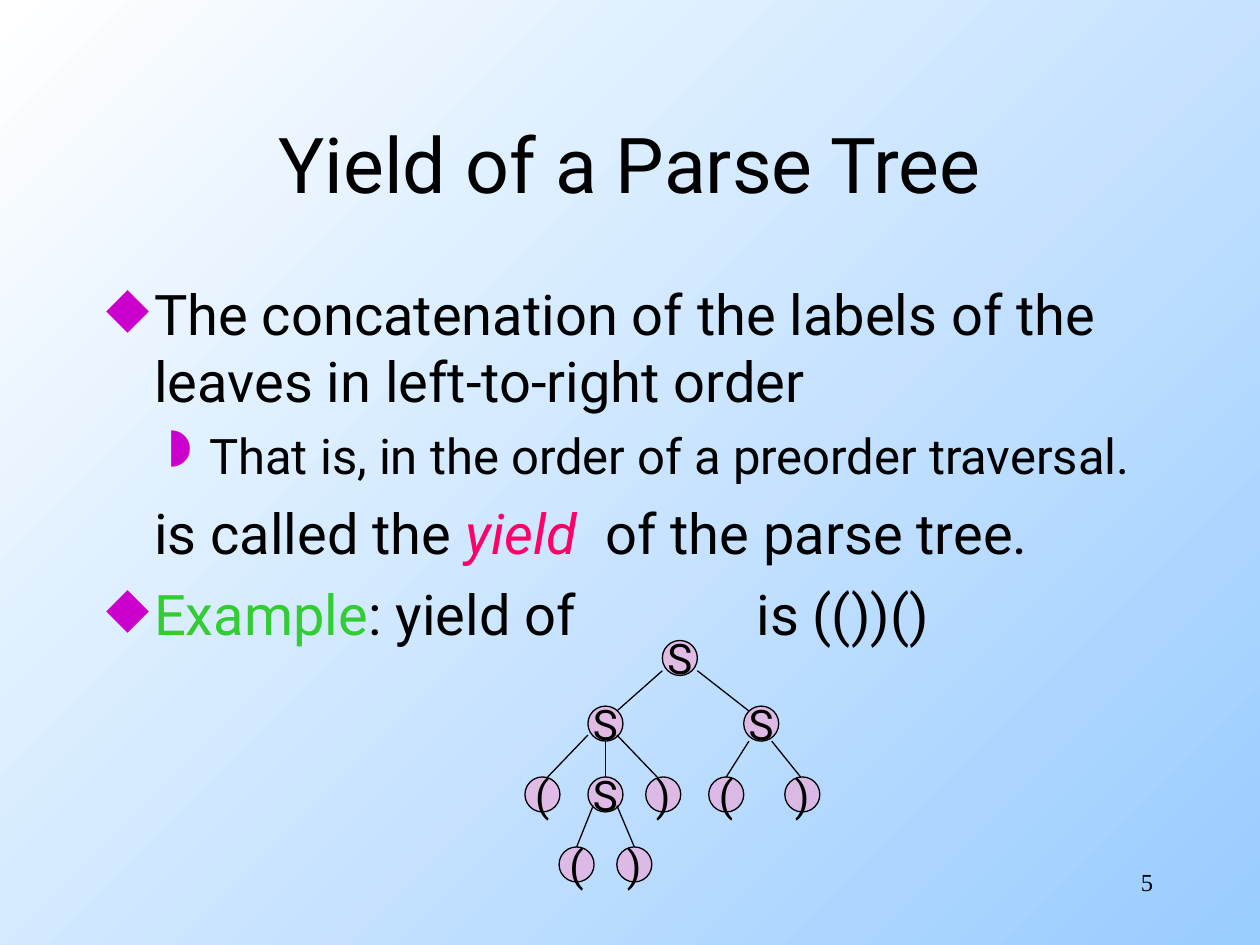
from lxml import etree
from pptx import Presentation
from pptx.dml.color import RGBColor
from pptx.enum.shapes import MSO_CONNECTOR, MSO_SHAPE
from pptx.enum.text import MSO_ANCHOR, PP_ALIGN
from pptx.oxml.ns import qn
from pptx.util import Pt

LEFT, CENTER, RIGHT = PP_ALIGN.LEFT, PP_ALIGN.CENTER, PP_ALIGN.RIGHT
TOP, MIDDLE = MSO_ANCHOR.TOP, MSO_ANCHOR.MIDDLE
ELLIPSE, STRAIGHT = MSO_SHAPE.OVAL, MSO_CONNECTOR.STRAIGHT

COLORS = {
    "text": "000000", "bullet": "CC00CC", "term": "FF0066",
    "example": "33CC33", "node": "FF99CC", "line": "000000",
    "sky_start": "FFFFFF", "sky_end": "99CCFF",
}
BODY_FONT, NUMBER_FONT = "Roboto", "Times New Roman"
NODE_SIZE = 20
LEVELS = (0, 37.5, 78, 118)

# label, left, level
NODES = [
    ("S", 78.5, 0),
    ("S", 36, 1), ("S", 125, 1),
    ("(", 0, 2), ("S", 36, 2), (")", 69, 2), ("(", 105, 2), (")", 148.5, 2),
    ("(", 19.5, 3), (")", 52.5, 3),
]
# from x, from y, to x, to y
EDGES = [
    (78.5, 17.3, 52.5, 40.3), (98.5, 17.3, 128, 40.3),
    (36, 54, 13, 78), (46, 57.5, 46, 78), (52.5, 54, 75.5, 78),
    (128, 57.5, 115, 78), (141, 57.5, 157.5, 78),
    (39, 94.3, 29.5, 118), (52.5, 94.3, 62.5, 118),
]


def rgb(name):
    return RGBColor.from_string(COLORS[name])


def add_text(paragraph, text, size=32, color="text", font=BODY_FONT,
             italic=False, tracking=0):
    run = paragraph.add_run()
    run.text = text
    run.font.size = Pt(size)
    run.font.name = font
    run.font.italic = italic
    run.font.color.rgb = rgb(color)
    if tracking:
        run.font._element.set("spc", str(round(tracking * 100)))


def add_frame(slide, box, anchor=TOP):
    frame = slide.shapes.add_textbox(*map(Pt, box)).text_frame
    frame.word_wrap = True
    frame.vertical_anchor = anchor
    return frame


def set_indent(paragraph, margin, hanging=0, bullet=None):
    props = paragraph._p.get_or_add_pPr()
    props.set("marL", str(Pt(margin)))
    props.set("indent", str(Pt(-hanging)))
    if bullet:
        color = etree.SubElement(props, qn("a:buClr"))
        etree.SubElement(color, qn("a:srgbClr"), val=COLORS["bullet"])
        etree.SubElement(props, qn("a:buChar"), char=bullet)
    else:
        etree.SubElement(props, qn("a:buNone"))


def paint_background(slide):
    fill = slide.background.fill
    fill.gradient()
    fill.gradient_angle = 315
    for stop, name in zip(fill.gradient_stops, ("sky_start", "sky_end")):
        stop.color.rgb = rgb(name)


def draw_line_of_text(slide, box, text, align, anchor=TOP, **style):
    paragraph = add_frame(slide, box, anchor).paragraphs[0]
    paragraph.alignment = align
    add_text(paragraph, text, **style)


def draw_body(slide, box):
    frame = add_frame(slide, box)
    definition = frame.paragraphs[0]
    order, conclusion, example = (frame.add_paragraph() for _ in range(3))

    set_indent(definition, 27, 27, "◆")
    add_text(definition, "The concatenation of the labels of the leaves "
                         "in left-to-right order")

    order.level = 1
    set_indent(order, 58.5, 22.5, "◗")
    order.space_before = Pt(7)
    add_text(order, "That is, in the order of a preorder traversal.", size=28)

    set_indent(conclusion, 27)
    conclusion.space_before = Pt(8)
    add_text(conclusion, "is called the ")
    add_text(conclusion, "yield", color="term", italic=True)
    add_text(conclusion, " ", tracking=8)
    add_text(conclusion, "of the parse tree.")

    set_indent(example, 27, 27, "◆")
    example.space_before = Pt(8)
    add_text(example, "Example", color="example")
    add_text(example, ": yield of")
    add_text(example, " ", tracking=95)
    add_text(example, "is (())()")


def draw_node(tree, label, left, top):
    node = tree.shapes.add_shape(ELLIPSE, Pt(left), Pt(top),
                                 Pt(NODE_SIZE), Pt(NODE_SIZE))
    node.shadow.inherit = False
    node.fill.solid()
    node.fill.fore_color.rgb = rgb("node")
    fill_color = node._element.spPr.find(".//" + qn("a:srgbClr"))
    etree.SubElement(fill_color, qn("a:alpha"), val="50000")
    node.line.color.rgb = rgb("line")
    node.line.width = Pt(0.75)
    frame = node.text_frame
    frame.word_wrap = False
    frame.vertical_anchor = MIDDLE
    frame.paragraphs[0].alignment = CENTER
    add_text(frame.paragraphs[0], label, size=24)


def draw_edge(tree, start_x, start_y, end_x, end_y):
    edge = tree.shapes.add_connector(STRAIGHT, Pt(start_x), Pt(start_y),
                                     Pt(end_x), Pt(end_y))
    edge.line.color.rgb = rgb("line")
    edge.line.width = Pt(0.75)
    etree.SubElement(edge._element.spPr, qn("a:effectLst"))


def draw_parse_tree(slide, left, top):
    tree = slide.shapes.add_group_shape()
    for label, x, level in NODES:
        draw_node(tree, label, left + x, top + LEVELS[level])
    for x1, y1, x2, y2 in EDGES:
        draw_edge(tree, left + x1, top + y1, left + x2, top + y2)


def main():
    deck = Presentation()
    deck.slide_width, deck.slide_height = Pt(720), Pt(540)
    slide = deck.slides.add_slide(deck.slide_layouts[6])
    paint_background(slide)
    draw_line_of_text(slide, (516, 492, 150, 36), "5", RIGHT,
                      size=14, font=NUMBER_FONT)
    draw_line_of_text(slide, (54, 48, 612, 90), "Yield of a Parse Tree",
                      CENTER, MIDDLE, size=44)
    draw_body(slide, (54, 156, 612, 324))
    draw_parse_tree(slide, 300, 366)
    deck.save("out.pptx")


if __name__ == "__main__":
    main()
